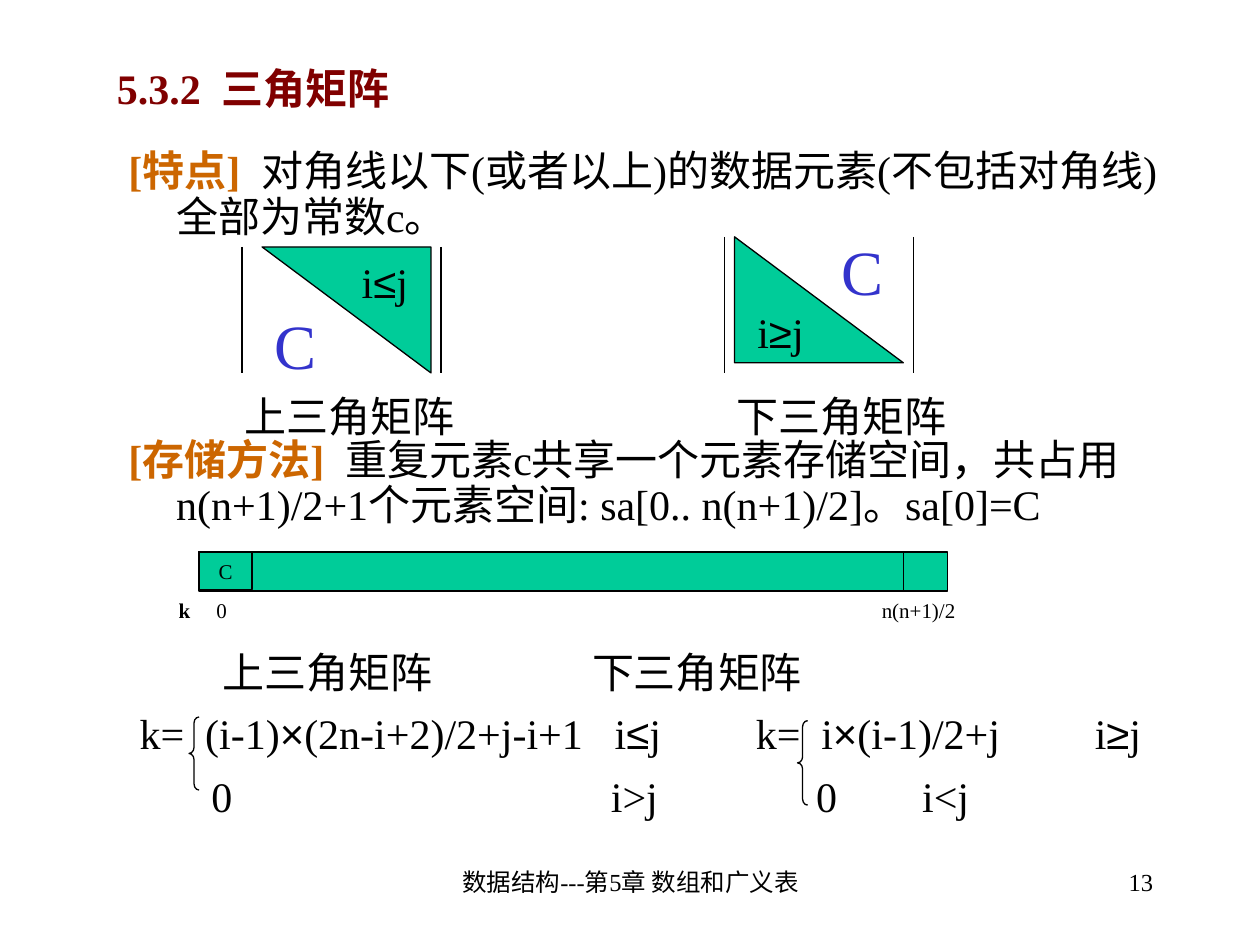
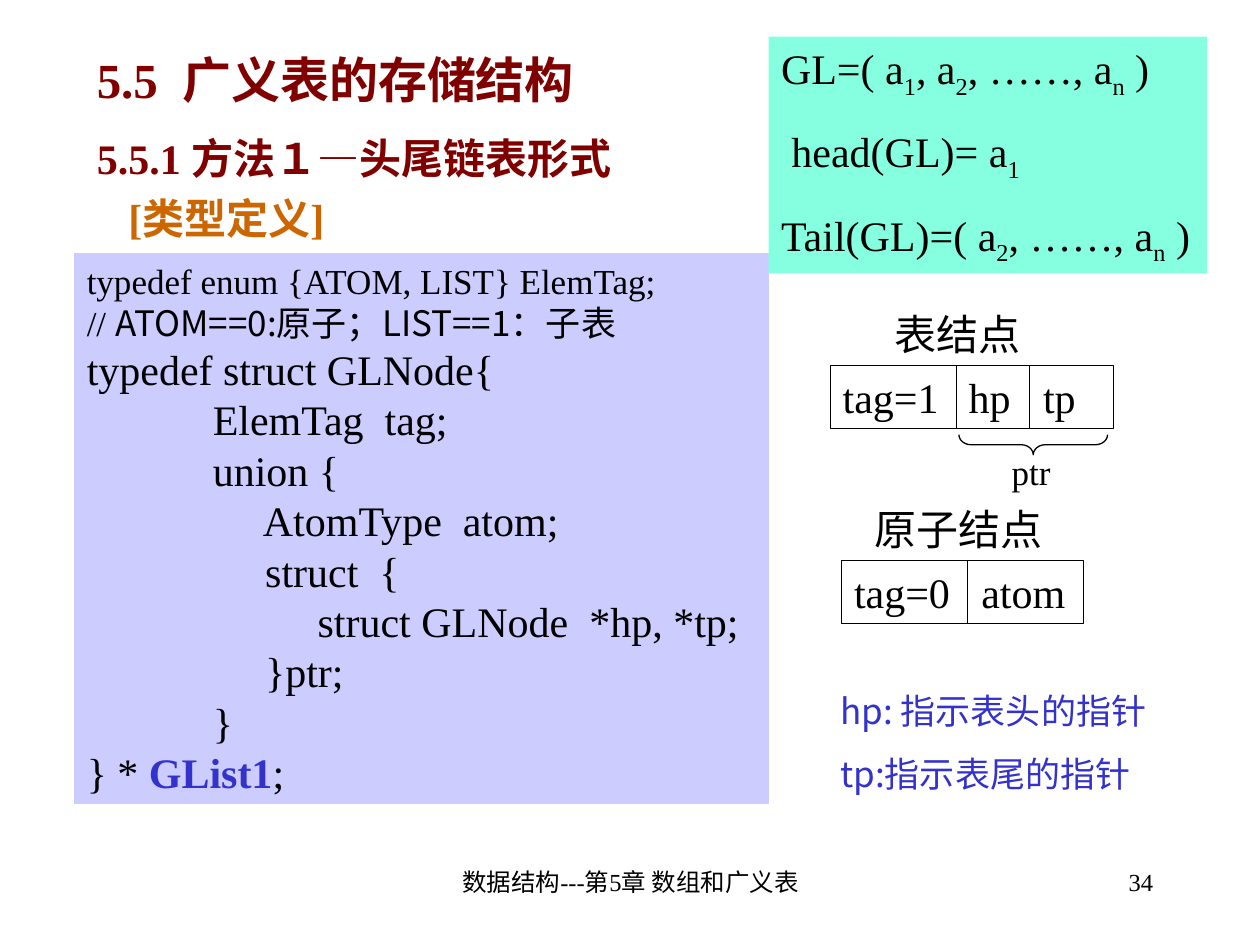
"""Builds two lecture slides on triangular matrices and generalized lists."""
from itertools import groupby

from pptx import Presentation
from pptx.dml.color import RGBColor
from pptx.enum.shapes import MSO_CONNECTOR, MSO_SHAPE
from pptx.enum.text import MSO_ANCHOR, PP_ALIGN
from pptx.oxml.ns import qn
from pptx.util import Inches, Pt
from lxml import etree

RECTANGLE = MSO_SHAPE.RECTANGLE
TRIANGLE = MSO_SHAPE.RIGHT_TRIANGLE
LEFT_BRACE = MSO_SHAPE.LEFT_BRACE
RIGHT_BRACE = MSO_SHAPE.RIGHT_BRACE
STRAIGHT = MSO_CONNECTOR.STRAIGHT
LEFT, CENTER, RIGHT = PP_ALIGN.LEFT, PP_ALIGN.CENTER, PP_ALIGN.RIGHT
TOP, MIDDLE = MSO_ANCHOR.TOP, MSO_ANCHOR.MIDDLE

COLORS = {
    "black": "000000",
    "title": "800000",
    "label": "CC6600",
    "accent": "3333CC",
    "matrix": "00CC99",
    "code": "CCCCFF",
    "formula": "85FFE0",
}
SERIF = "Times New Roman"
CHINESE = "Noto Sans CJK SC"
SYMBOL = "Arial"
FOOTER = "数据结构---第5章 数组和广义表"


def add_figure(page, kind, left, top, width, height, fill=None, line="black"):
    figure = page.shapes.add_shape(kind, Inches(left), Inches(top), Inches(width), Inches(height))
    figure.shadow.inherit = False
    if fill:
        figure.fill.solid()
        figure.fill.fore_color.rgb = RGBColor.from_string(COLORS[fill])
    else:
        figure.fill.background()
    if line:
        figure.line.color.rgb = RGBColor.from_string(COLORS[line])
        figure.line.width = Pt(0.75)
    else:
        figure.line.fill.background()
    return figure


def add_text(page, text, left, top, width, height=0.5, box=None, size=24, color="black", bold=False,
             font=SERIF, align=LEFT, anchor=TOP, before=0, hanging=0, spacing=1.2, tab=None):
    if box is None:
        box = page.shapes.add_textbox(Inches(left), Inches(top), Inches(width), Inches(height))
    frame = box.text_frame
    frame.word_wrap = True
    frame.vertical_anchor = anchor
    paragraphs = [text] if isinstance(text, str) else text
    for index, spans in enumerate(paragraphs):
        para = frame.paragraphs[0] if index == 0 else frame.add_paragraph()
        properties = para._p.get_or_add_pPr()
        if tab:
            stops = etree.SubElement(properties, qn("a:tabLst"))
            etree.SubElement(stops, qn("a:tab"), pos=str(Inches(tab)), algn="l")
        if hanging:
            properties.set("marL", str(Inches(hanging)))
            properties.set("indent", str(-Inches(hanging)))
        para.alignment = align
        if index:
            para.space_before = Pt(before)
        spans = [(spans, {})] if isinstance(spans, str) else spans
        para.line_spacing = Pt(spacing * spans[0][1].get("size", size))
        for words, style in spans:
            for is_symbol, letters in groupby(words, lambda letter: letter in "×≤≥"):
                span = para.add_run()
                span.text = "".join(letters)
                span.font.name = SYMBOL if is_symbol else style.get("font", font)
                span.font.size = Pt(style.get("size", size))
                span.font.bold = style.get("bold", bold)
                span.font.color.rgb = RGBColor.from_string(COLORS[style.get("color", color)])
                properties = span._r.get_or_add_rPr()
                etree.SubElement(properties, qn("a:ea")).set("typeface", CHINESE)
                if style.get("subscript"):
                    properties.set("baseline", "-25000")
    return box


deck = Presentation()
deck.slide_width, deck.slide_height = Inches(10), Inches(7.5)
blank = deck.slide_layouts[6]
matrix_page, list_page = deck.slides.add_slide(blank), deck.slides.add_slide(blank)

for page, number, title, left, middle, size in (
    (matrix_page, "13", "5.3.2  三角矩阵", 0.83, 0.7, 24),
    (list_page, "34", "5.5  广义表的存储结构", 0.67, 0.63, 28),
):
    add_text(page, FOOTER, 3.42, 6.83, 3.17, size=14, align=CENTER)
    add_text(page, number, 7.17, 6.83, 2.08, size=14, align=RIGHT)
    add_text(page, title, left, middle - 0.35, 5.4, 0.7, size=size, color="title", bold=True, anchor=MIDDLE)

label_style = {"color": "label", "bold": True}
for label, description, top in (
    ("[特点]  ", "对角线以下(或者以上)的数据元素(不包括对角线)全部为常数c。", 1.14),
    ("[存储方法]  ", "重复元素c共享一个元素存储空间，共占用n(n+1)/2+1个元素空间: sa[0.. n(n+1)/2]。sa[0]=C", 3.43),
):
    add_text(matrix_page, [[(label, label_style), (description, {})]], 0.92, top, 8.67, 0.85,
             hanging=0.38, spacing=1.08)

for left, top, rotation, caption, caption_left, constant, condition in (
    (2.08, 1.96, 180, "上三角矩阵", 1.84, (2.08, 2.38), ("i≤j", 2.69, 1.99)),
    (5.83, 1.88, 0, "下三角矩阵", 5.75, (6.58, 1.8), ("i≥j", 5.83, 2.38)),
):
    triangle = add_figure(matrix_page, TRIANGLE, left, top, 1.34, 1, fill="matrix")
    triangle.rotation = rotation
    add_text(matrix_page, caption, caption_left, 3.05, 2.25, font=CHINESE)
    add_text(matrix_page, "C", *constant, 0.6, 0.7, size=36, color="accent")
    words, words_left, words_top = condition
    add_text(matrix_page, words, words_left, words_top, 0.73, align=CENTER)

add_figure(matrix_page, RECTANGLE, 1.58, 4.38, 5.94, 0.31, fill="matrix")
constant_cell = add_figure(matrix_page, RECTANGLE, 1.58, 4.38, 0.42, 0.3)
add_text(matrix_page, "C", 0, 0, 0, box=constant_cell, size=12, align=CENTER)
for index_label, left, bold in (("k", 1.32, True), ("0", 1.62, False), ("n(n+1)/2", 6.9, False)):
    add_text(matrix_page, index_label, left, 4.69, 1, 0.3, size=12, bold=bold)

for heading, left in (("上三角矩阵", 1.67), ("下三角矩阵", 4.6)):
    add_text(matrix_page, heading, left, 5.08, 2.25, font=CHINESE)
formula_rows = (
    (5.57, (("k=", 1.01), ("(i-1)×(2n-i+2)/2+j-i+1", 1.53), ("i≤j", 4.78),
            ("k=", 5.9), ("i×(i-1)/2+j", 6.42), ("i≥j", 8.59))),
    (6.07, (("0", 1.58), ("i>j", 4.75), ("0", 6.38), ("i<j", 7.22))),
)
for top, terms in formula_rows:
    for term, left in terms:
        add_text(matrix_page, term, left, top, 0.4 + 0.14 * len(term))

for page, kind, left, top, width, height, rotation in (
    (matrix_page, LEFT_BRACE, 1.5, 5.69, 0.08, 0.58, 0),
    (matrix_page, LEFT_BRACE, 6.33, 5.72, 0.08, 0.67, 0),
    (list_page, RIGHT_BRACE, 8.12, 2.94, 0.16, 1.18, 90),
):
    brace = add_figure(page, kind, left, top, width, height)
    brace.adjustments[0] = 0.6
    brace.rotation = rotation

add_text(list_page, "5.5.1 方法１—头尾链表形式", 0.67, 1, 5.4, color="title", bold=True)
add_text(list_page, "[类型定义]", 0.92, 1.48, 3, color="label", bold=True)

small = {"size": 20}
code_lines = [
    [("typedef enum {ATOM, LIST} ElemTag;", small)],
    [("// ", small), ("ATOM==0:原子；LIST==1：子表", {"size": 20, "font": CHINESE})],
    "typedef struct GLNode{",
    "\tElemTag  tag;",
    "\tunion {",
    "\t     AtomType  atom;",
    "\t     struct  {",
    "\t          struct GLNode  *hp, *tp;",
    "\t     }ptr;",
    "\t}",
    [("} * ", {}), ("GList1", {"color": "accent", "bold": True}), (";", {})],
]
code_panel = add_figure(list_page, RECTANGLE, 0.59, 2.01, 5.51, 4.37, fill="code", line="code")
add_text(list_page, code_lines, 0, 0, 0, box=code_panel, tab=1)

sub = {"subscript": True}
tail = [("2", sub), (", ……, a", {}), ("n", sub), (" )", {})]
formulas = [
    [("GL=( a", {}), ("1", sub), (", a", {})] + tail,
    [(" head(GL)= a", {}), ("1", sub)],
    [("Tail(GL)=( a", {})] + tail,
]
formula_panel = add_figure(list_page, RECTANGLE, 6.1, 0.29, 3.48, 1.88, fill="formula", line=None)
add_text(list_page, formulas, 0, 0, 0, box=formula_panel, before=15, spacing=1.36)

for caption, caption_left, left, top, width, fields in (
    ("表结点", 7, 6.59, 2.9, 2.25, (("tag=1", 6.59), ("hp", 7.59), ("tp", 8.18))),
    ("原子结点", 6.84, 6.68, 4.45, 1.92, (("tag=0", 6.68), ("atom", 7.69))),
):
    add_text(list_page, caption, caption_left, top - 0.5, 2.08)
    add_figure(list_page, RECTANGLE, left, top, width, 0.5)
    for field, field_left in fields:
        add_text(list_page, field, field_left, top, 1)

add_text(list_page, "ptr", 7.93, 3.53, 0.79, 0.44, size=20)
add_text(list_page, ["hp: 指示表头的指针", "tp:指示表尾的指针"], 6.57, 5.42, 3.08, 0.94,
         size=20, color="accent", font=CHINESE, before=12.5)

for page, positions, top, bottom in (
    (matrix_page, (1.92, 3.5), 1.96, 2.96),
    (matrix_page, (5.75, 7.25), 1.88, 2.96),
    (matrix_page, (7.17,), 4.38, 4.7),
    (list_page, (7.59, 8.17), 2.9, 3.4),
    (list_page, (7.68,), 4.45, 4.95),
):
    for position in positions:
        bar = page.shapes.add_connector(STRAIGHT, Inches(position), Inches(top), Inches(position), Inches(bottom))
        bar.line.color.rgb = RGBColor.from_string(COLORS["black"])
        bar.line.width = Pt(0.75)
        etree.SubElement(bar._element.spPr, qn("a:effectLst"))

deck.save("out.pptx")
